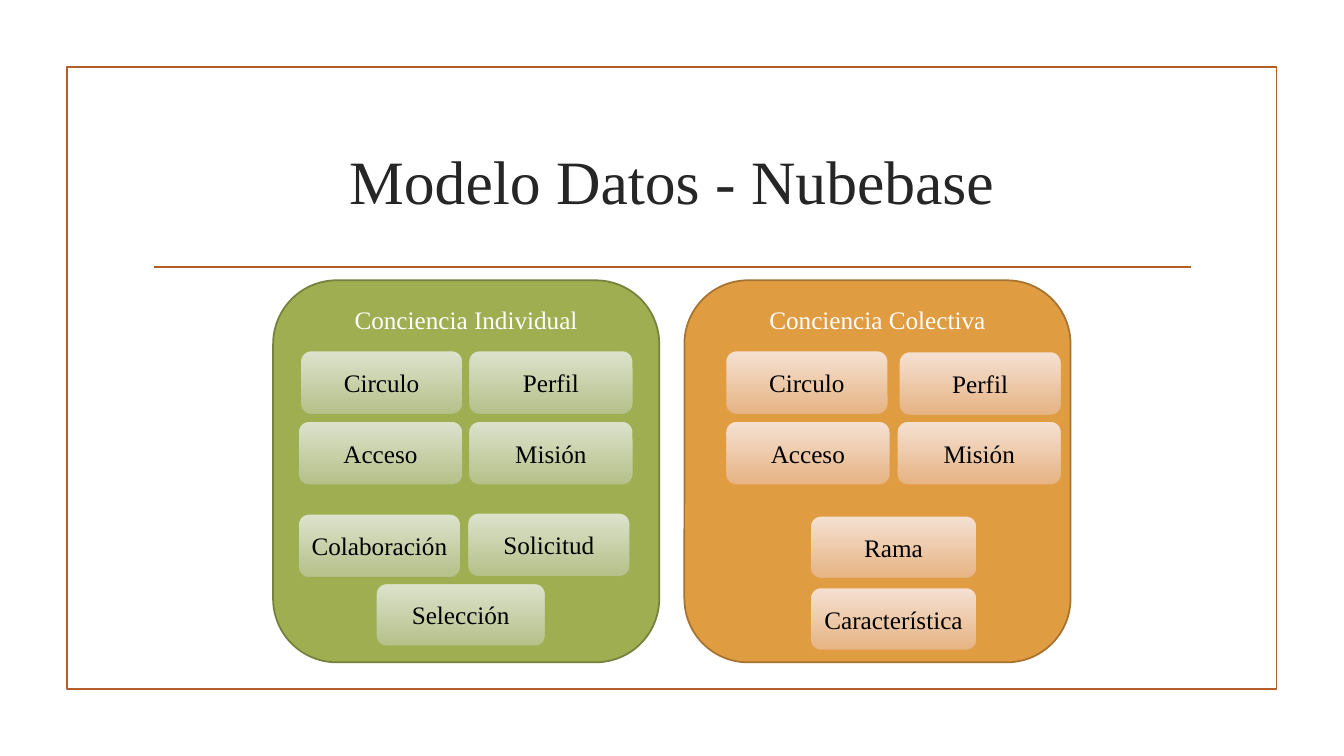
"""Build a slide with the data model of two consciousness groups."""
from dataclasses import dataclass

from lxml import etree
from pptx import Presentation
from pptx.dml.color import RGBColor
from pptx.enum.shapes import MSO_CONNECTOR, MSO_SHAPE
from pptx.enum.text import MSO_ANCHOR, PP_ALIGN
from pptx.oxml.ns import qn
from pptx.shapes.autoshape import Shape
from pptx.slide import Slide
from pptx.util import Pt

RECT = MSO_SHAPE.RECTANGLE
ROUND = MSO_SHAPE.ROUNDED_RECTANGLE
STRAIGHT = MSO_CONNECTOR.STRAIGHT
CENTER = PP_ALIGN.CENTER
TOP, MIDDLE = MSO_ANCHOR.TOP, MSO_ANCHOR.MIDDLE

FONT = "Times New Roman"
ACCENT = "B15E28"
PANEL_TOP, PANEL_W, PANEL_H = 200.2, 275.8, 272.9


@dataclass
class Tile:
    """A labelled box, placed in points."""
    text: str
    left: float
    top: float
    width: float = 115.9
    height: float = 45.4


@dataclass
class Panel:
    """A coloured group of tiles."""
    title: str
    left: float
    fill: str
    line: str
    gradient: tuple[str, str]
    tiles: list[Tile]


PANELS = [
    Panel("Conciencia Individual", 195.1, "9EAE51", "75813C", ("DDE2CC", "B5C089"), [
        Tile("Circulo", 214.6, 250.6),
        Tile("Perfil", 334.8, 250.6, 117.4),
        Tile("Acceso", 213.1, 301, 117.4),
        Tile("Misión", 334.8, 301, 117.4),
        Tile("Colaboración", 213.1, 367.2),
        Tile("Solicitud", 334.1, 366.5),
        Tile("Selección", 268.6, 416.9, 121, 44.6),
    ]),
    Panel("Conciencia Colectiva", 488.9, "E09C41", "A67330", ("F5E1D2", "E6B383"), [
        Tile("Circulo", 518.4, 250.6),
        Tile("Perfil", 642.2, 251.3),
        Tile("Acceso", 518.4, 301, 117.4),
        Tile("Misión", 640.8, 301, 117.4),
        Tile("Rama", 578.9, 368.6, 118.8, 44.6),
        Tile("Característica", 578.9, 419.8, 118.8, 44.6),
    ]),
]


def rgb(value: str) -> RGBColor:
    """Return the colour for a hex string."""
    return RGBColor.from_string(value)


def write(sp: Shape, text: str, size: float, color: str, anchor: MSO_ANCHOR) -> None:
    """Put one centred paragraph into a shape."""
    tf = sp.text_frame
    tf.word_wrap = True
    tf.vertical_anchor = anchor
    p = tf.paragraphs[0]
    p.text = text
    p.alignment = CENTER
    p.font.name = FONT
    p.font.size = Pt(size)
    p.font.color.rgb = rgb(color)


def add_box(s: Slide, kind: MSO_SHAPE, left: float, top: float, width: float,
            height: float, line: str, weight: float) -> Shape:
    """Add an outlined shape without shadow."""
    sp = s.shapes.add_shape(kind, Pt(left), Pt(top), Pt(width), Pt(height))
    sp.shadow.inherit = False
    sp.line.color.rgb = rgb(line)
    sp.line.width = Pt(weight)
    return sp


def add_tile(s: Slide, tile: Tile, panel: Panel) -> None:
    """Add a tile with the gradient of its panel."""
    sp = add_box(s, ROUND, tile.left, tile.top, tile.width, tile.height, panel.fill, 0.75)
    sp.fill.gradient()
    sp.fill.gradient_angle = 270
    for stop, color in zip(sp.fill.gradient_stops, panel.gradient):
        stop.color.rgb = rgb(color)
    write(sp, tile.text, 18, "000000", MIDDLE)
    sp.text_frame.margin_left = sp.text_frame.margin_right = 0


def add_panel(s: Slide, panel: Panel) -> None:
    """Add a panel and its tiles."""
    sp = add_box(s, ROUND, panel.left, PANEL_TOP, PANEL_W, PANEL_H, panel.line, 1.25)
    sp.fill.solid()
    sp.fill.fore_color.rgb = rgb(panel.fill)
    write(sp, panel.title, 18, "FFFFFF", TOP)
    for tile in panel.tiles:
        add_tile(s, tile, panel)


def add_rule(s: Slide, left: float, right: float, top: float) -> None:
    """Add the horizontal line below the title."""
    rule = s.shapes.add_connector(STRAIGHT, Pt(left), Pt(top), Pt(right), Pt(top))
    rule.line.color.rgb = rgb(ACCENT)
    rule.line.width = Pt(1.25)
    etree.SubElement(rule._element.spPr, qn("a:effectLst"))


def main() -> None:
    """Build and save the slide."""
    prs = Presentation()
    prs.slide_width, prs.slide_height = Pt(960), Pt(540)
    s = prs.slides.add_slide(prs.slide_layouts[6])
    add_box(s, RECT, 47.8, 48, 864, 444, ACCENT, 1.25).fill.background()
    add_rule(s, 110, 850.5, 190.8)
    title = s.shapes.add_textbox(Pt(102), Pt(77), Pt(756), Pt(103))
    write(title, "Modelo Datos - Nubebase", 44, "262626", MIDDLE)
    for panel in PANELS:
        add_panel(s, panel)
    prs.save("out.pptx")


if __name__ == "__main__":
    main()
